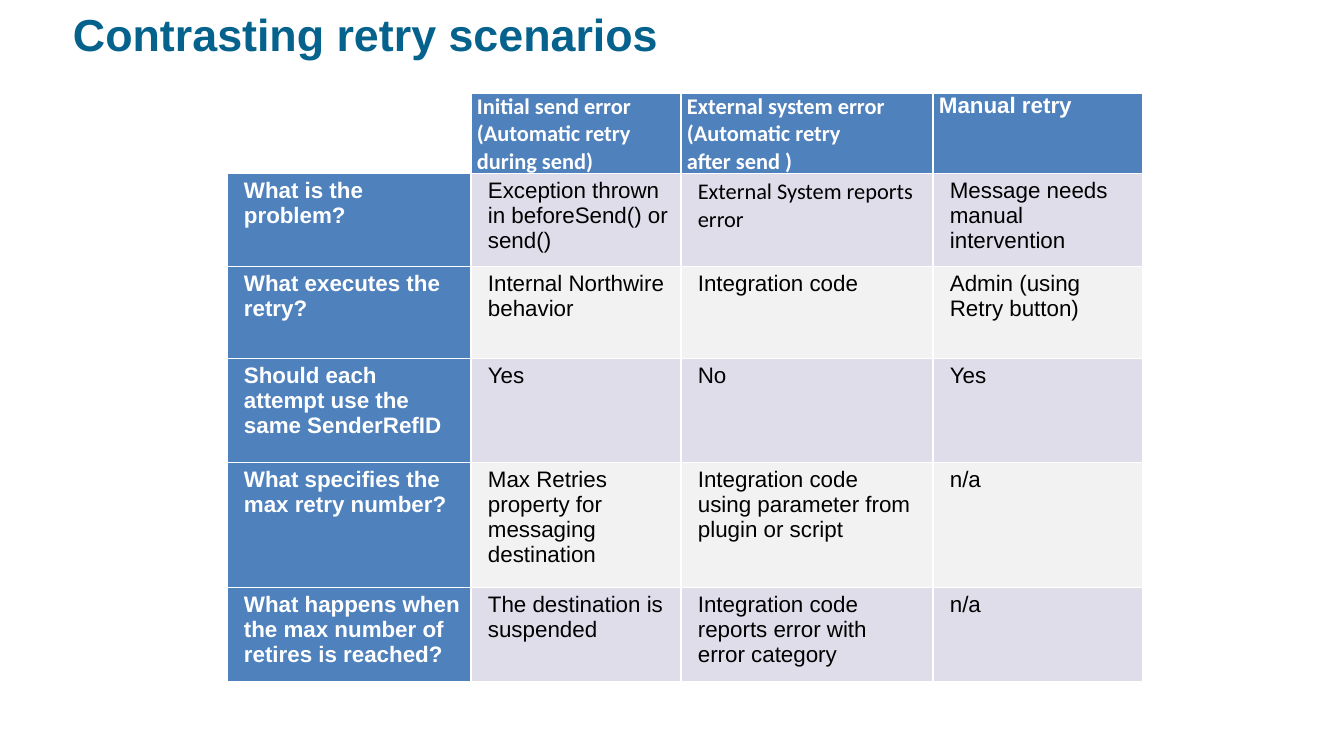
from copy import deepcopy
from dataclasses import dataclass

from lxml import etree
from pptx import Presentation
from pptx import util as u
from pptx.dml.color import RGBColor
from pptx.enum import text
from pptx.oxml import ns

SLIDE_WIDTH, SLIDE_HEIGHT = 1344, 756
EMU_PER_PX = 12192000 / SLIDE_WIDTH


@dataclass(frozen=True)
class Theme:
    title: str = "04628C"
    header: str = "4F81BD"
    bands: tuple[str, str] = ("DFDDEA", "F2F2F2")
    light: str = "FFFFFF"
    dark: str = "000000"
    title_size: int = 32
    table_size: int = 16
    border: int = 1


THEME = Theme()


@dataclass(frozen=True)
class CellStyle:
    fill: str
    color: str
    bold: bool
    indent: int
    insets: tuple[int, int]


@dataclass(frozen=True)
class Entry:
    words: str
    font: str = "Arial"


HEADER = CellStyle(THEME.header, THEME.light, True, 6, (0, 0))
QUESTION = CellStyle(THEME.header, THEME.light, True, 7, (10, 5))
CORNER = CellStyle(THEME.light, THEME.dark, False, 0, (0, 0))
ANSWERS = [CellStyle(band, THEME.dark, False, 7, (10, 5)) for band in THEME.bands]

TABLE_LEFT, TABLE_TOP = 227, 93
COLUMN_WIDTHS = (244, 210, 252, 210)
ROW_HEIGHTS = (77, 93, 92, 104, 125, 94)
ROWS = [
    [Entry(""),
     Entry("Initial send error\n(Automatic retry during send)", "Calibri"),
     Entry("External system error (Automatic retry\nafter send )", "Calibri"),
     Entry("Manual retry")],
    [Entry("What is the problem?"),
     Entry("Exception thrown in beforeSend() or send()"),
     Entry("External System reports error", "Calibri"),
     Entry("Message needs manual intervention")],
    [Entry("What executes the retry?"),
     Entry("Internal Northwire behavior"),
     Entry("Integration code"),
     Entry("Admin (using Retry button)")],
    [Entry("Should each attempt use the same SenderRefID"),
     Entry("Yes"), Entry("No"), Entry("Yes")],
    [Entry("What specifies the max retry number?"),
     Entry("Max Retries property for messaging destination"),
     Entry("Integration code\nusing parameter from plugin or script"),
     Entry("n/a")],
    [Entry("What happens when the max number of retires is reached?"),
     Entry("The destination is suspended"),
     Entry("Integration code reports error with\nerror category"),
     Entry("n/a")],
]


def px(length: int) -> u.Emu:
    return u.Emu(round(length * EMU_PER_PX))


def apply(target, values: dict) -> None:
    for name, value in values.items():
        setattr(target, name, value)


def write(para, words: str, font: str, size: int, color: str, bold: bool) -> None:
    """Fill a paragraph, giving its line breaks the same format as its runs."""
    para.text = words
    for span in para.runs:
        apply(span.font, {"name": font, "size": u.Pt(size), "bold": bold})
        span.font.color.rgb = RGBColor.from_string(color)
    for line_break in para._p.findall(ns.qn("a:br")):
        line_break.append(deepcopy(para.runs[0]._r.rPr))


def add_borders(cell, color: str, width: int) -> None:
    properties = cell._tc.get_or_add_tcPr()
    for side in ("lnL", "lnR", "lnT", "lnB"):
        line = etree.SubElement(properties, ns.qn(f"a:{side}"), w=str(u.Pt(width)))
        fill = etree.SubElement(line, ns.qn("a:solidFill"))
        etree.SubElement(fill, ns.qn("a:srgbClr"), val=color)


def style_for(row: int, column: int) -> CellStyle:
    if row == 0:
        return HEADER if column else CORNER
    return ANSWERS[(row - 1) % len(ANSWERS)] if column else QUESTION


def fill_cell(cell, entry: Entry, style: CellStyle) -> None:
    side, end = (px(inset) for inset in style.insets)
    apply(cell, {"margin_left": side, "margin_right": side,
                 "margin_top": end, "margin_bottom": end,
                 "vertical_anchor": text.MSO_ANCHOR.TOP})
    add_borders(cell, THEME.light, THEME.border)
    cell.fill.solid()
    cell.fill.fore_color.rgb = RGBColor.from_string(style.fill)
    para = cell.text_frame.paragraphs[0]
    if entry.words:
        write(para, entry.words, entry.font, THEME.table_size, style.color, style.bold)
        properties = para._p.get_or_add_pPr()
        properties.set("marL", str(px(style.indent)))
        properties.set("indent", "0")


def add_title(page, words: str) -> None:
    box = page.shapes.add_textbox(px(73), px(13), px(1223), px(82))
    apply(box.text_frame, {"word_wrap": True, "margin_left": 0, "margin_right": 0,
                           "margin_top": 0, "margin_bottom": 0})
    para = box.text_frame.paragraphs[0]
    para.line_spacing = 0.9
    write(para, words, "Arial", THEME.title_size, THEME.title, True)


def add_comparison(page) -> None:
    frame = page.shapes.add_table(
        len(ROWS), len(COLUMN_WIDTHS), px(TABLE_LEFT), px(TABLE_TOP),
        px(sum(COLUMN_WIDTHS)), px(sum(ROW_HEIGHTS)))
    table = frame.table
    apply(table, {"first_row": True, "first_col": True, "horz_banding": False})
    for column, width in zip(table.columns, COLUMN_WIDTHS):
        column.width = px(width)
    for row, height in zip(table.rows, ROW_HEIGHTS):
        row.height = px(height)
    for row, entries in enumerate(ROWS):
        for column, entry in enumerate(entries):
            fill_cell(table.cell(row, column), entry, style_for(row, column))


def main() -> None:
    deck = Presentation()
    apply(deck, {"slide_width": px(SLIDE_WIDTH), "slide_height": px(SLIDE_HEIGHT)})
    page = deck.slides.add_slide(deck.slide_layouts[6])
    add_title(page, "Contrasting retry scenarios")
    add_comparison(page)
    deck.save("out.pptx")


if __name__ == "__main__":
    main()
